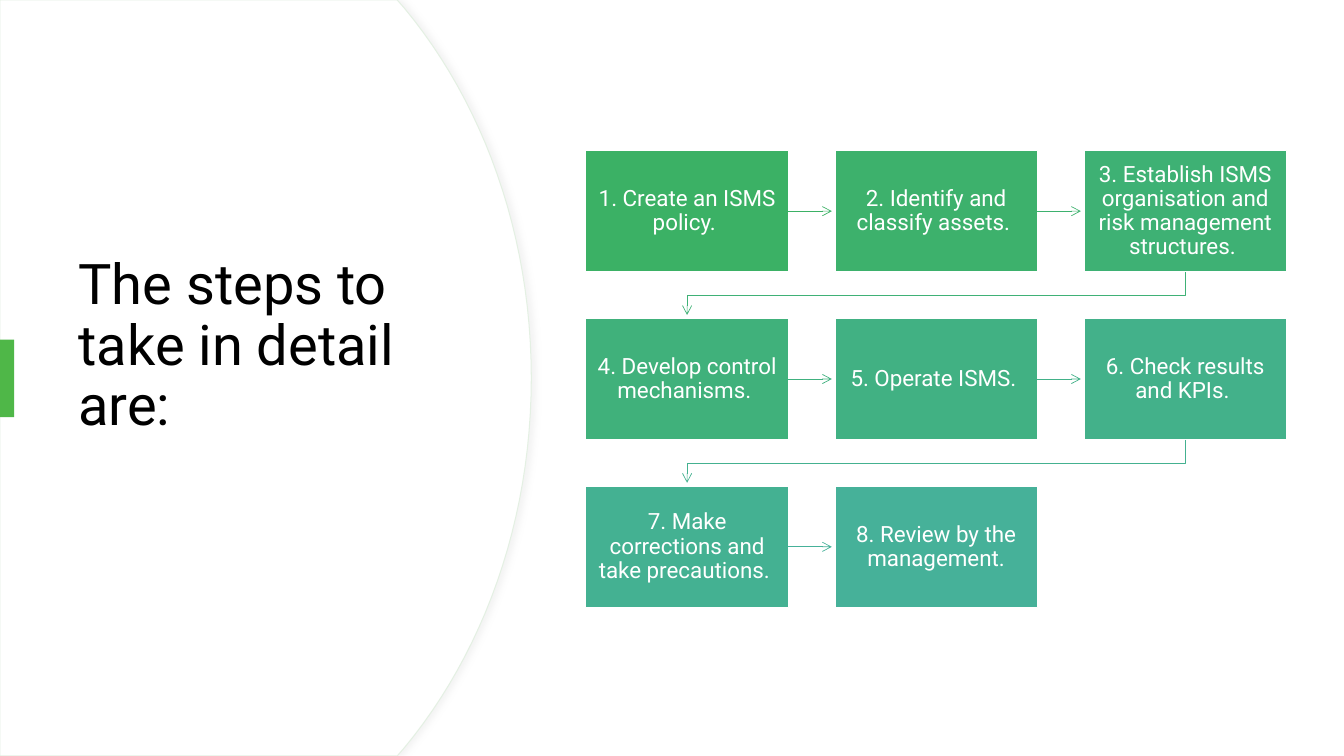
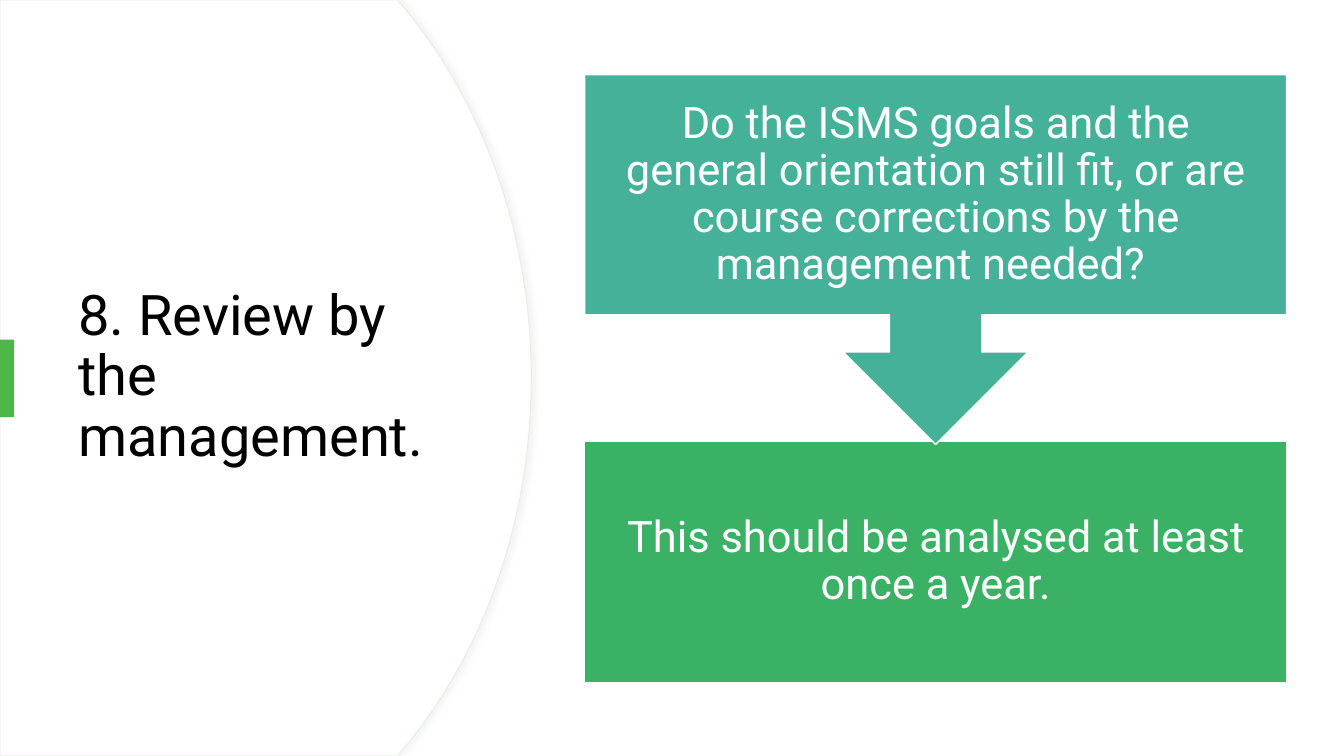
import pptx
import pptx.dml.color
import pptx.enum.shapes
import pptx.enum.text
import pptx.oxml.ns
import pptx.util
from lxml import etree

Inches, Pt = pptx.util.Inches, pptx.util.Pt
qn = pptx.oxml.ns.qn
SHAPE = pptx.enum.shapes.MSO_SHAPE
ALIGN = pptx.enum.text.PP_ALIGN

COLORS = {
    "white": "FFFFFF", "black": "000000", "accent": "4FB748", "panel_edge": "E4F0E3",
    "shadow": "D9D9D9", "green": "3BB165", "teal": "46B199",
}
FONT = "Roboto"

STEPS_TITLE = "The steps to take in detail are:"
STEPS = [
    "1. Create an ISMS policy. ",
    "2. Identify and classify assets. ",
    "3. Establish ISMS organisation and risk management structures. ",
    "4. Develop control mechanisms. ",
    "5. Operate ISMS. ",
    "6. Check results and KPIs. ",
    "7. Make corrections and take precautions. ",
    "8. Review by the management.",
]
REVIEW_TITLE = "8. Review by the management."
REVIEW_QUESTION = ("Do the ISMS goals and the general orientation still fit, "
                   "or are course corrections by the management needed? ")
REVIEW_RULE = "This should be analysed at least once a year."

SLIDE_WIDTH, SLIDE_HEIGHT = 13.33, 7.5
TITLE_BOX = (0.68, 1.27, 3.94, 4.95)
TITLE_LIFT = 0.6
ACCENT_BAR = (0, 3.37, 0.14, 0.77)
# Upper half of the panel's curved edge, as Bezier control points
PANEL_TOP = (3.94, 0)
PANEL_CURVE = [(4.01, 0.08), (4.79, 1.02), (5.27, 2.32), (5.27, 3.75)]
CURVE_PARTS = 24

COLUMNS, ROWS = 3, 3
GRID = (5.81, 1.49, 6.95, 4.54)
STEP_WIDTH, STEP_HEIGHT = 2.01, 1.21
COLUMN_GAP = (GRID[2] - COLUMNS * STEP_WIDTH) / (COLUMNS - 1)
ROW_GAP = (GRID[3] - ROWS * STEP_HEIGHT) / (ROWS - 1)
ARROW_CLEARANCE = 0.03

CALLOUT_BOX = (5.8, 0.74, 6.96, 3.67)
RULE_BOX = (5.8, 4.38, 6.96, 2.39)


def rgb(value):
    return pptx.dml.color.RGBColor.from_string(value)


def blend(share):
    """Colour at a share of the way from green to teal."""
    ends = zip(rgb(COLORS["green"]), rgb(COLORS["teal"]))
    return "".join(f"{round(a + (b - a) * share):02X}" for a, b in ends)


def paint(shape, fill=None, line=None, width=1):
    shape.shadow.inherit = False
    if fill:
        shape.fill.solid()
        shape.fill.fore_color.rgb = rgb(fill)
    else:
        shape.fill.background()
    if line:
        shape.line.color.rgb = rgb(line)
        shape.line.width = Pt(width)
    else:
        shape.line.fill.background()


def write(shape, text, size, color, align, inset, bottom_inset=None):
    frame = shape.text_frame
    frame_format = {
        "word_wrap": True,
        "vertical_anchor": pptx.enum.text.MSO_ANCHOR.MIDDLE,
        "margin_left": Inches(inset),
        "margin_right": Inches(inset),
        "margin_top": Inches(inset),
        "margin_bottom": Inches(inset if bottom_inset is None else bottom_inset),
    }
    for name, value in frame_format.items():
        setattr(frame, name, value)
    para = frame.paragraphs[0]
    para.alignment, para.line_spacing = align, 0.9
    span = para.add_run()
    span.text = text
    for name, value in {"name": FONT, "size": Pt(size)}.items():
        setattr(span.font, name, value)
    span.font.color.rgb = rgb(color)


def add_block(page, kind, place, fill, text, size, inset):
    block = page.shapes.add_shape(kind, *map(Inches, place))
    paint(block, fill, COLORS["white"])
    write(block, text, size, COLORS["white"], ALIGN.CENTER, inset)
    return block


def add_outline(page, points, close):
    points = [(Inches(x), Inches(y)) for x, y in points]
    builder = page.shapes.build_freeform(*points[0], scale=1.0)
    builder.add_line_segments(points[1:], close=close)
    return builder.convert_to_shape()


def curve_point(points, share):
    """Point on a Bezier curve, by repeated interpolation."""
    while len(points) > 1:
        points = [tuple(a + (b - a) * share for a, b in zip(first, second))
                  for first, second in zip(points, points[1:])]
    return points[0]


def add_panel(page):
    upper = [PANEL_TOP] + [curve_point(PANEL_CURVE, part / CURVE_PARTS)
                           for part in range(CURVE_PARTS + 1)]
    lower = [(x, SLIDE_HEIGHT - y) for x, y in reversed(upper[:-1])]
    panel = add_outline(page, [(0, 0), *upper, *lower, (0, SLIDE_HEIGHT)], True)
    paint(panel, COLORS["white"], COLORS["panel_edge"], 0.75)
    effects = panel.element.spPr.find(qn("a:effectLst"))
    shadow = etree.SubElement(effects, qn("a:outerShdw"), blurRad=str(Pt(4)),
                              dist=str(Pt(3)), dir="0", algn="l", rotWithShape="0")
    color = etree.SubElement(shadow, qn("a:srgbClr"), val=COLORS["shadow"])
    etree.SubElement(color, qn("a:alpha"), val="30000")


def add_page(deck, title, lift=0):
    """Blank slide with the curved panel, title and accent bar; lift raises the title."""
    page = deck.slides.add_slide(deck.slide_layouts[6])
    add_panel(page)
    box = page.shapes.add_textbox(*map(Inches, TITLE_BOX))
    write(box, title, 40, COLORS["black"], ALIGN.LEFT, 0.1, 0.1 + lift)
    bar = page.shapes.add_shape(SHAPE.RECTANGLE, *map(Inches, ACCENT_BAR))
    paint(bar, COLORS["accent"])
    return page


def add_arrowhead(shape):
    line = shape.element.spPr.find(qn("a:ln"))
    etree.SubElement(line, qn("a:tailEnd"), type="arrow")


def add_row_arrow(page, block, start, end, color):
    arrow = page.shapes.add_connector(
        pptx.enum.shapes.MSO_CONNECTOR.STRAIGHT, *map(Inches, (*start, *end)))
    arrow.begin_connect(block, 3)
    arrow.line.color.rgb = rgb(color)
    arrow.line.width = Pt(0.5)
    add_arrowhead(arrow)
    etree.SubElement(arrow.element.spPr, qn("a:effectLst"))


def add_wrap_arrow(page, start, end, color):
    """Bent arrow from the end of one row to the start of the next."""
    middle = start[1] + ROW_GAP / 2
    bends = [(start[0], middle), (end[0], middle)]
    arrow = add_outline(page, [start, *bends, end], False)
    paint(arrow, line=color, width=0.5)
    add_arrowhead(arrow)


def step_corner(index):
    row, column = divmod(index, COLUMNS)
    return (GRID[0] + column * (STEP_WIDTH + COLUMN_GAP),
            GRID[1] + row * (STEP_HEIGHT + ROW_GAP))


def add_steps_slide(deck):
    page = add_page(deck, STEPS_TITLE, TITLE_LIFT)
    last = len(STEPS) - 1
    for index, step in enumerate(STEPS):
        left, top = step_corner(index)
        block = add_block(page, SHAPE.RECTANGLE, (left, top, STEP_WIDTH, STEP_HEIGHT),
                          blend(index / last), step, 16, 0.1)
        if index == last:
            continue
        next_left, next_top = step_corner(index + 1)
        color = blend(index / (last - 1))
        if next_top == top:
            middle = top + STEP_HEIGHT / 2
            add_row_arrow(page, block, (left + STEP_WIDTH, middle),
                          (next_left - ARROW_CLEARANCE, middle), color)
        else:
            add_wrap_arrow(page, (left + STEP_WIDTH / 2, top + STEP_HEIGHT),
                           (next_left + STEP_WIDTH / 2, next_top - ARROW_CLEARANCE), color)


def add_review_slide(deck):
    page = add_page(deck, REVIEW_TITLE)
    add_block(page, SHAPE.RECTANGLE, RULE_BOX, COLORS["green"], REVIEW_RULE, 31, 0.24)
    add_block(page, SHAPE.DOWN_ARROW_CALLOUT, CALLOUT_BOX, COLORS["teal"],
              REVIEW_QUESTION, 31, 0.24)


def main():
    deck = pptx.Presentation()
    deck.slide_width, deck.slide_height = Inches(SLIDE_WIDTH), Inches(SLIDE_HEIGHT)
    add_steps_slide(deck)
    add_review_slide(deck)
    deck.save("out.pptx")


if __name__ == "__main__":
    main()
